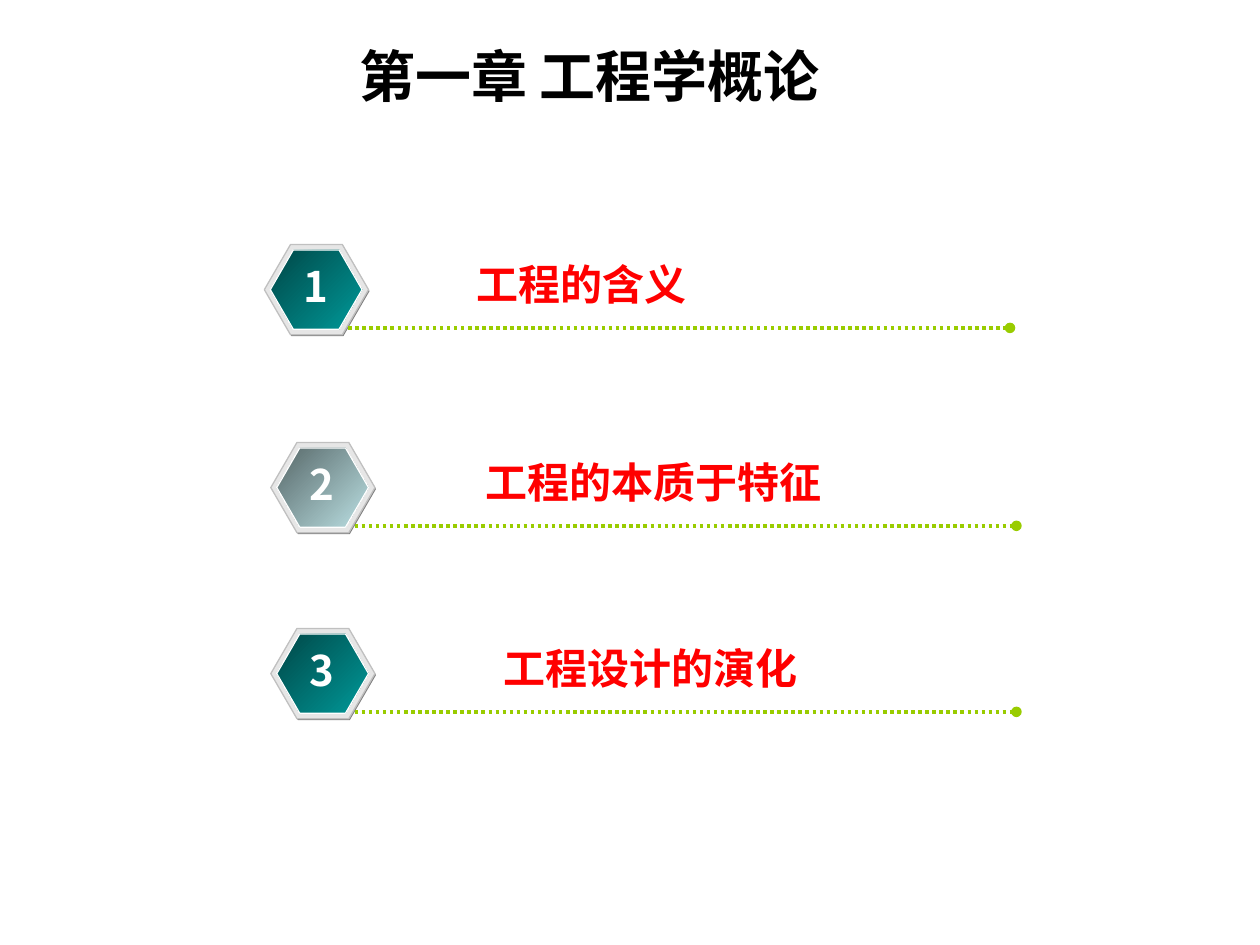
from lxml.etree import SubElement
from pptx import Presentation
from pptx.dml.color import RGBColor
from pptx.enum.dml import MSO_LINE
from pptx.enum.shapes import MSO_CONNECTOR, MSO_SHAPE
from pptx.enum.text import MSO_AUTO_SIZE, PP_ALIGN
from pptx.oxml.ns import qn
from pptx.util import Cm, Pt

TITLE = "第一章 工程学概论"
TEAL = ("004747", "009999")
GRAY = ("576869", "BBE0E3")
CHAPTERS = [
    {"topic": "工程的含义", "left": 5.33, "top": 4.93, "topic_left": 9.35, "topic_width": 7.57, "shades": TEAL},
    {"topic": "工程的本质于特征", "left": 5.46, "top": 8.92, "topic_left": 9.53, "topic_width": 8.59, "shades": GRAY},
    {"topic": "工程设计的演化", "left": 5.46, "top": 12.67, "topic_left": 9.91, "topic_width": 6.88, "shades": TEAL},
]
RIM_SIZE = (2.1, 1.82)
FACE_SIZE = (1.85, 1.6)
RULE_LENGTH = 13.34
CJK_FONT = "Noto Sans CJK SC"


def color(code):
    return RGBColor.from_string(code)


def add_text(slide, text, left, top, width, height, *, size=24, font=CJK_FONT,
             ink="000000", align=PP_ALIGN.LEFT, wrap=True):
    box = slide.shapes.add_textbox(Cm(left), Cm(top), Cm(width), Cm(height))
    frame = box.text_frame
    frame.word_wrap = wrap
    frame.auto_size = MSO_AUTO_SIZE.SHAPE_TO_FIT_TEXT
    paragraph = frame.paragraphs[0]
    paragraph.alignment = align
    run = paragraph.add_run()
    run.text = text
    run.font.size, run.font.name, run.font.bold = Pt(size), font, True
    run.font.color.rgb = color(ink)
    SubElement(run.font._element, qn("a:ea"), typeface=CJK_FONT)


def add_hexagon(badge, left, top, size, fills, outline=None):
    hexagon = badge.shapes.add_shape(MSO_SHAPE.HEXAGON, Cm(left), Cm(top), *map(Cm, size))
    hexagon.shadow.inherit = False
    hexagon.adjustments[0] = 0.29
    if len(fills) == 1:
        hexagon.fill.solid()
        hexagon.fill.fore_color.rgb = color(fills[0])
    else:
        hexagon.fill.gradient()
        hexagon.fill.gradient_angle = 315
        for stop, shade in zip(hexagon.fill.gradient_stops, fills):
            stop.color.rgb = color(shade)
    if outline:
        hexagon.line.color.rgb = color(outline)
        hexagon.line.width = Pt(0.75)
    else:
        hexagon.line.fill.background()


def add_rule(slide, left, top):
    rule = slide.shapes.add_connector(
        MSO_CONNECTOR.STRAIGHT, Cm(left), Cm(top), Cm(left + RULE_LENGTH), Cm(top))
    rule.line.color.rgb = color("99CC00")
    rule.line.width = Pt(2)
    rule.line.dash_style = MSO_LINE.ROUND_DOT
    SubElement(rule.line._get_or_add_ln(), qn("a:tailEnd"), type="oval")
    SubElement(rule._element.spPr, qn("a:effectLst"))


def add_chapter(slide, number, chapter):
    left, top = chapter["left"], chapter["top"]
    badge = slide.shapes.add_group_shape()
    add_hexagon(badge, left + 0.02, top + 0.03, RIM_SIZE, ["808080"])
    add_hexagon(badge, left, top, RIM_SIZE, ["E6E6E6"], "C0C0C0")
    add_hexagon(badge, left + 0.12, top + 0.11, FACE_SIZE, chapter["shades"], "FFFFFF")
    add_rule(slide, left + 1.69, top + 1.68)
    add_text(slide, chapter["topic"], chapter["topic_left"], top + 0.15,
             chapter["topic_width"], 1.27, ink="FF0000")
    add_text(slide, str(number), left + 0.53, top + 0.2, 1.02, 1.27,
             ink="FFFFFF", align=PP_ALIGN.CENTER, wrap=False)


def main():
    """Build the chapter overview slide."""
    deck = Presentation()
    deck.slide_width, deck.slide_height = Cm(25.4), Cm(19.05)
    slide = deck.slides.add_slide(deck.slide_layouts[6])
    add_text(slide, TITLE, 6.99, 0.71, 11.86, 1.63, size=32, font="Arial")
    for number, chapter in enumerate(CHAPTERS, 1):
        add_chapter(slide, number, chapter)
    deck.save("out.pptx")


if __name__ == "__main__":
    main()
